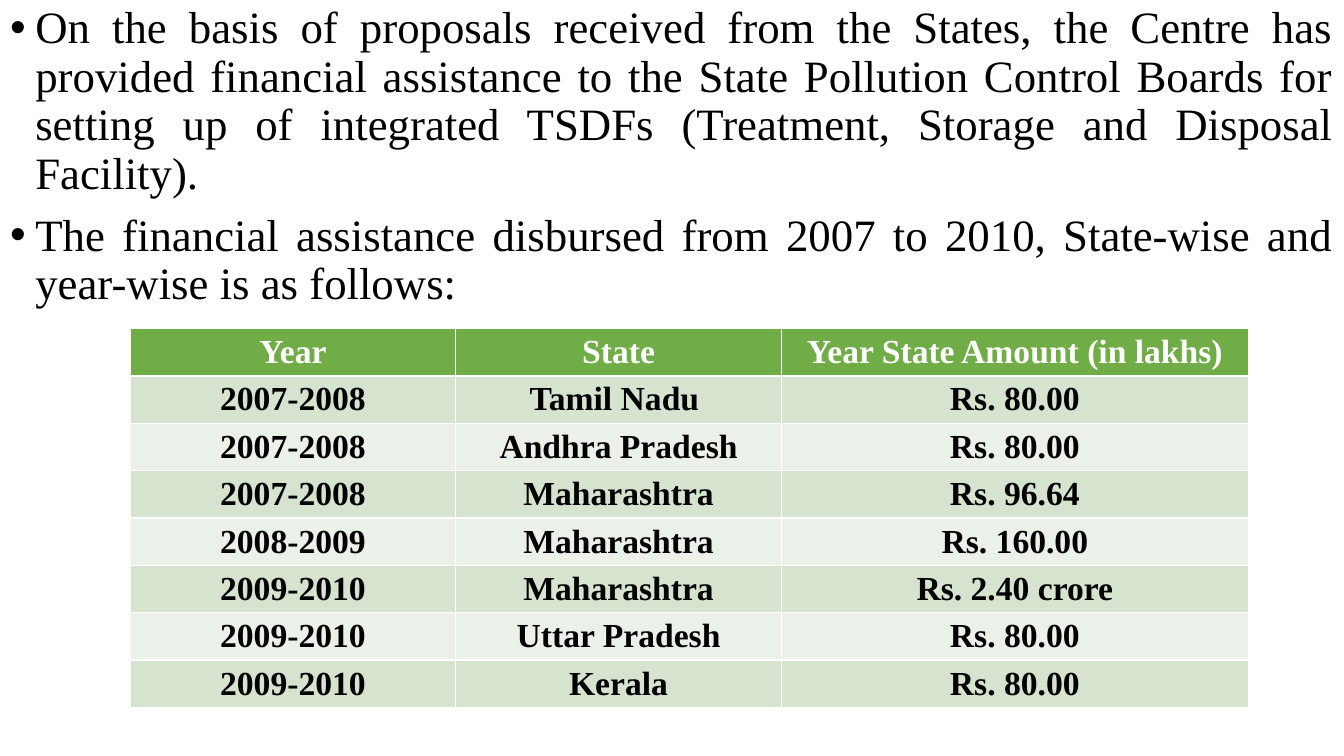
"""Build the slide on financial assistance for waste facilities."""
from lxml import etree
from pptx import Presentation
from pptx import util as u
from pptx.dml.color import RGBColor
from pptx.enum import text as t
from pptx.oxml.ns import qn

WIDE, HIGH = 13.33, 7.5
FACE = "Times New Roman"
POINTS = [
    "On the basis of proposals received from the States, the Centre has provided "
    "financial assistance to the State Pollution Control Boards for setting up of "
    "integrated TSDFs (Treatment, Storage and Disposal Facility).",
    "The financial assistance disbursed from 2007 to 2010, State-wise and "
    "year-wise is as follows:",
]
ROWS = [
    ("Year", "State", "Year State Amount (in lakhs)"),
    ("2007-2008", "Tamil Nadu ", "Rs. 80.00"),
    ("2007-2008", "Andhra Pradesh", "Rs. 80.00"),
    ("2007-2008", "Maharashtra", "Rs. 96.64"),
    ("2008-2009", "Maharashtra", "Rs. 160.00"),
    ("2009-2010", "Maharashtra", "Rs. 2.40 crore"),
    ("2009-2010", "Uttar Pradesh", "Rs. 80.00"),
    ("2009-2010", "Kerala", "Rs. 80.00"),
]
COLS = (3.23, 3.23, 4.63)
LEFT, TOP, STEP = 1.29, 3.26, 0.47
HEAD, BANDS = "70AD47", ("EBF1E9", "D5E3CF")


def tint(code):
    return RGBColor.from_string(code)


def style(para, size, code, align, bold=False):
    para.alignment = align
    font = para.font if not para.runs else para.runs[0].font
    font.name, font.size, font.bold = FACE, u.Pt(size), bold
    font.color.rgb = tint(code)


def add_points(slide):
    body = slide.placeholders[1]
    body.left = body.top = 0
    body.width, body.height = u.Inches(WIDE), u.Inches(HIGH)
    frame = body.text_frame
    frame.text = "\n".join(POINTS)
    frame.word_wrap = True
    frame.auto_size = t.MSO_AUTO_SIZE.NONE
    frame.vertical_anchor = t.MSO_ANCHOR.TOP
    for i, para in enumerate(frame.paragraphs):
        prop = para._p.get_or_add_pPr()
        prop.set("marL", str(u.Inches(0.25)))
        prop.set("indent", str(-u.Inches(0.25)))
        etree.SubElement(prop, qn("a:buFont")).set("typeface", "Arial")
        etree.SubElement(prop, qn("a:buChar")).set("char", "•")
        para.line_spacing = 0.9
        para.space_before = u.Pt(10 if i else 0)
        style(para, 32, "000000", t.PP_ALIGN.JUSTIFY)


def add_grid(slide):
    table = slide.shapes.add_table(
        len(ROWS), len(COLS), u.Inches(LEFT), u.Inches(TOP),
        u.Inches(sum(COLS)), u.Inches(STEP * len(ROWS))).table
    for col, wide in zip(table.columns, COLS):
        col.width = u.Inches(wide)
    for r, row in enumerate(ROWS):
        table.rows[r].height = u.Inches(STEP)
        for c, word in enumerate(row):
            cell = table.cell(r, c)
            cell.text = word
            cell.margin_top = cell.margin_bottom = 0
            cell.vertical_anchor = t.MSO_ANCHOR.MIDDLE
            cell.fill.solid()
            cell.fill.fore_color.rgb = tint(BANDS[r % 2] if r else HEAD)
            style(cell.text_frame.paragraphs[0], 24,
                  "000000" if r else "FFFFFF", t.PP_ALIGN.CENTER, True)


def main():
    deck = Presentation()
    deck.slide_width, deck.slide_height = u.Inches(WIDE), u.Inches(HIGH)
    slide = deck.slides.add_slide(deck.slide_layouts[1])
    title = slide.shapes.title.element
    title.getparent().remove(title)
    add_points(slide)
    add_grid(slide)
    deck.save("out.pptx")


if __name__ == "__main__":
    main()
